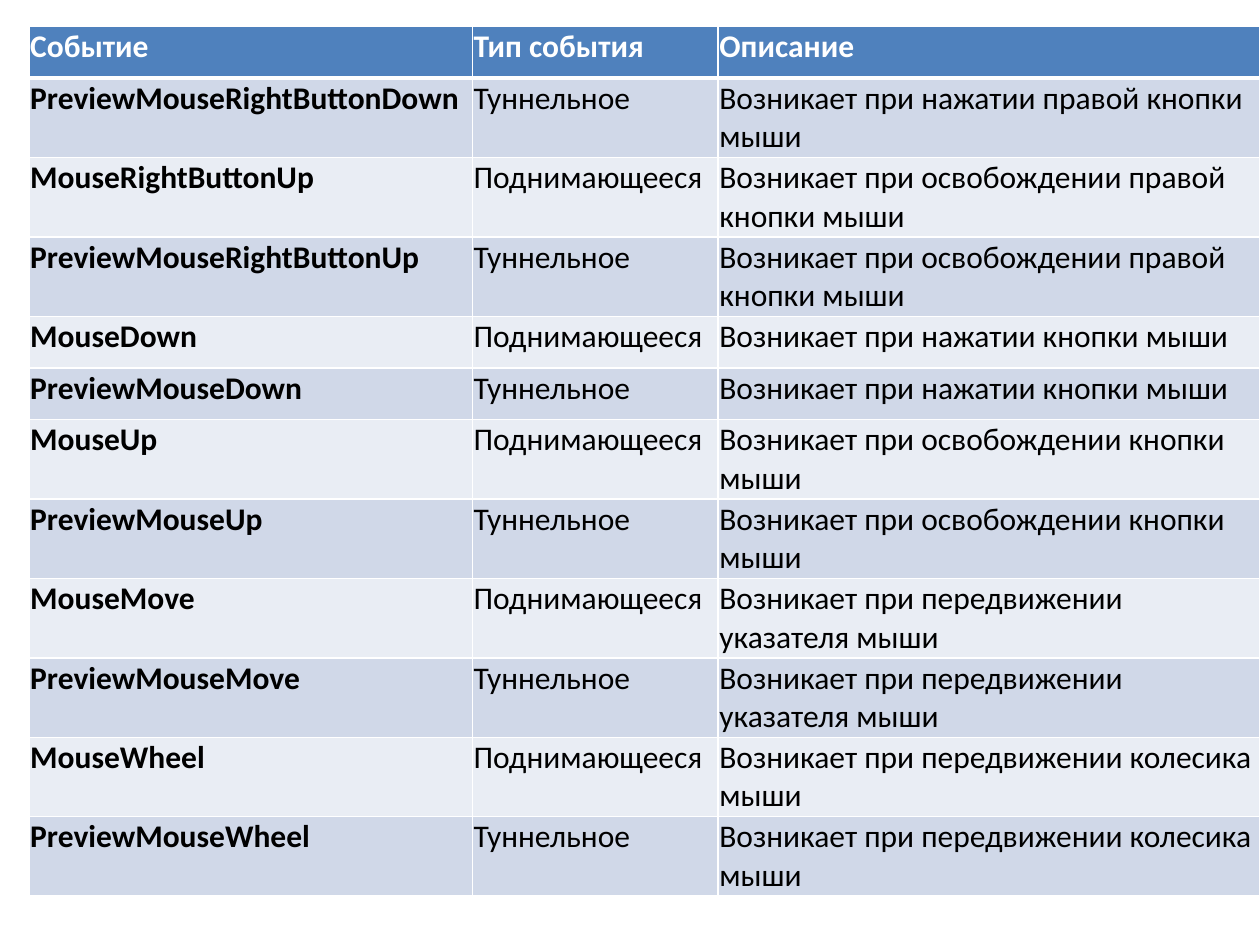
from dataclasses import dataclass

from lxml import etree
from pptx import Presentation
from pptx.dml.color import RGBColor
from pptx.util import Inches, Pt

A = "http://schemas.openxmlformats.org/drawingml/2006/main"


@dataclass(frozen=True)
class Theme:
    """Colours, type and line sizes of the slide."""
    font: str = "Calibri"
    size: int = 18
    header: str = "4F81BD"
    bands: tuple = ("D0D8E8", "E9EDF4")
    light: str = "FFFFFF"
    dark: str = "000000"
    rule: int = 1
    header_rule: int = 3
    inset: float = 0.01


THEME = Theme()
HEADERS = ("Событие", "Тип события", "Описание")
COLUMNS = (3.52, 1.95, 4.3)
ROW_HEIGHT = 0.41
TUNNEL, BUBBLE = "Туннельное", "Поднимающееся"
ACTIONS = (
    ("MouseRightButtonDown", "нажатии правой кнопки мыши"),
    ("MouseRightButtonUp", "освобождении правой кнопки мыши"),
    ("MouseDown", "нажатии кнопки мыши"),
    ("MouseUp", "освобождении кнопки мыши"),
    ("MouseMove", "передвижении указателя мыши"),
    ("MouseWheel", "передвижении колесика мыши"),
)


def event_rows():
    """Return a bubbling and a tunnelling row for each action, from the first tunnelling one."""
    rows = []
    for name, action in ACTIONS:
        text = f"Возникает при {action}"
        rows += [(name, BUBBLE, text), (f"Preview{name}", TUNNEL, text)]
    return rows[1:]


def set_borders(cell, widths):
    """Draw solid cell borders with the given left, right, top and bottom widths."""
    tc_pr = cell._tc.get_or_add_tcPr()
    for i, (side, width) in enumerate(zip("LRTB", widths)):
        ln = etree.Element(f"{{{A}}}ln{side}", w=str(Pt(width)))
        fill = etree.SubElement(ln, f"{{{A}}}solidFill")
        etree.SubElement(fill, f"{{{A}}}srgbClr", val=THEME.light)
        tc_pr.insert(i, ln)


def format_cell(cell, text, fill, color, bold):
    """Fill a cell and set its text."""
    for side in ("left", "right", "top", "bottom"):
        setattr(cell, f"margin_{side}", Inches(THEME.inset))
    cell.fill.solid()
    cell.fill.fore_color.rgb = RGBColor.from_string(fill)
    r = cell.text_frame.paragraphs[0].add_run()
    r.text = text
    for key, value in {"name": THEME.font, "size": Pt(THEME.size), "bold": bold}.items():
        setattr(r.font, key, value)
    r.font.color.rgb = RGBColor.from_string(color)


def add_event_table(slide, left, top):
    """Place the table of mouse events at the given corner."""
    rows = [HEADERS, *event_rows()]
    table = slide.shapes.add_table(
        len(rows), len(COLUMNS), Inches(left), Inches(top),
        Inches(sum(COLUMNS)), Inches(ROW_HEIGHT * len(rows))).table
    for column, width in zip(table.columns, COLUMNS):
        column.width = Inches(width)
    for i, values in enumerate(rows):
        table.rows[i].height = Inches(ROW_HEIGHT)
        is_header = i == 0
        fill = THEME.header if is_header else THEME.bands[(i - 1) % 2]
        color = THEME.light if is_header else THEME.dark
        above = THEME.header_rule if i == 1 else THEME.rule
        below = THEME.header_rule if is_header else THEME.rule
        for j, text in enumerate(values):
            cell = table.cell(i, j)
            format_cell(cell, text, fill, color, is_header or j == 0)
            set_borders(cell, (THEME.rule, THEME.rule, above, below))


def main():
    """Build and save the slide."""
    prs = Presentation()
    prs.slide_width, prs.slide_height = Inches(10), Inches(7.5)
    slide = prs.slides.add_slide(prs.slide_layouts[6])
    add_event_table(slide, 0.23, 0.21)
    prs.save("out.pptx")


main()
